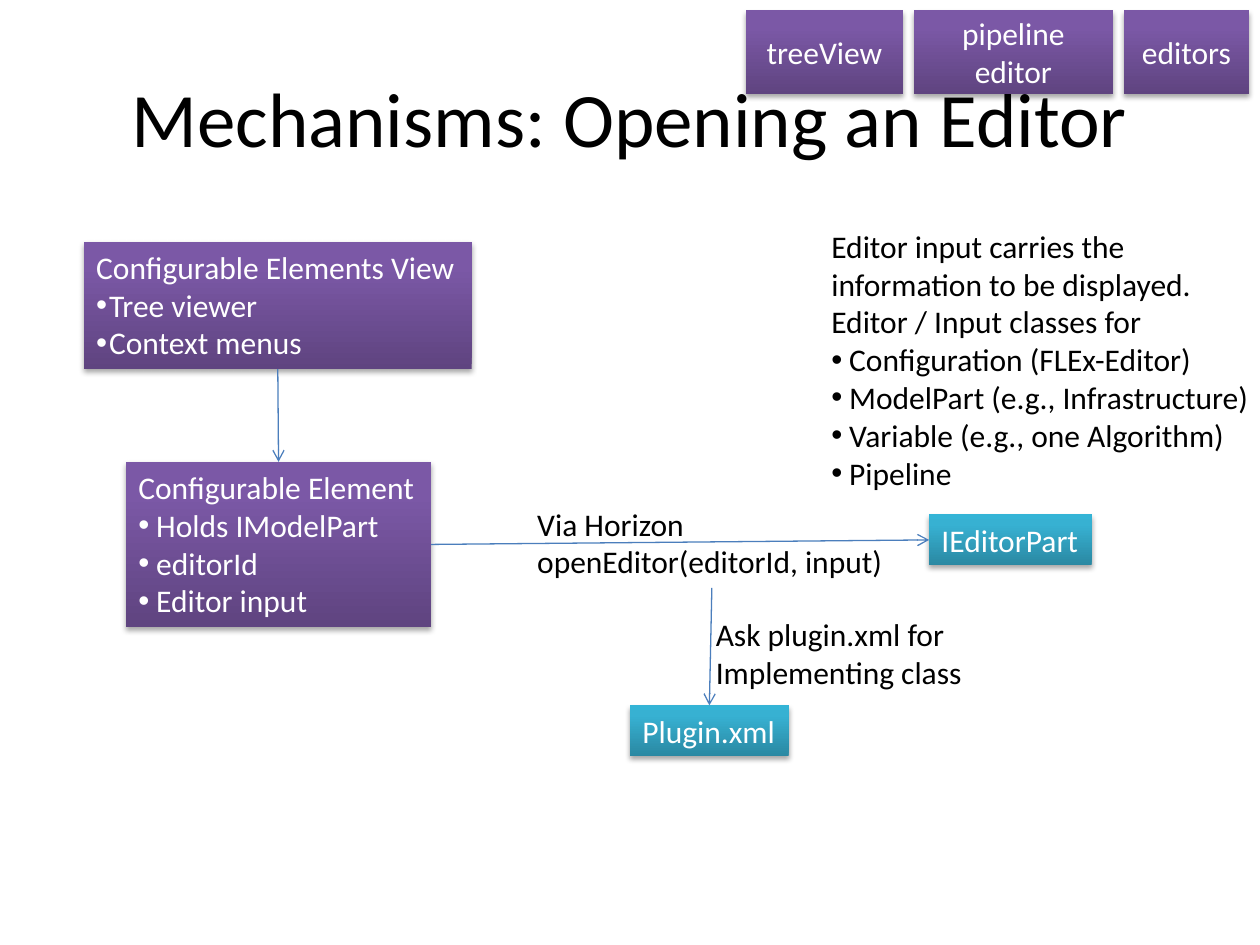
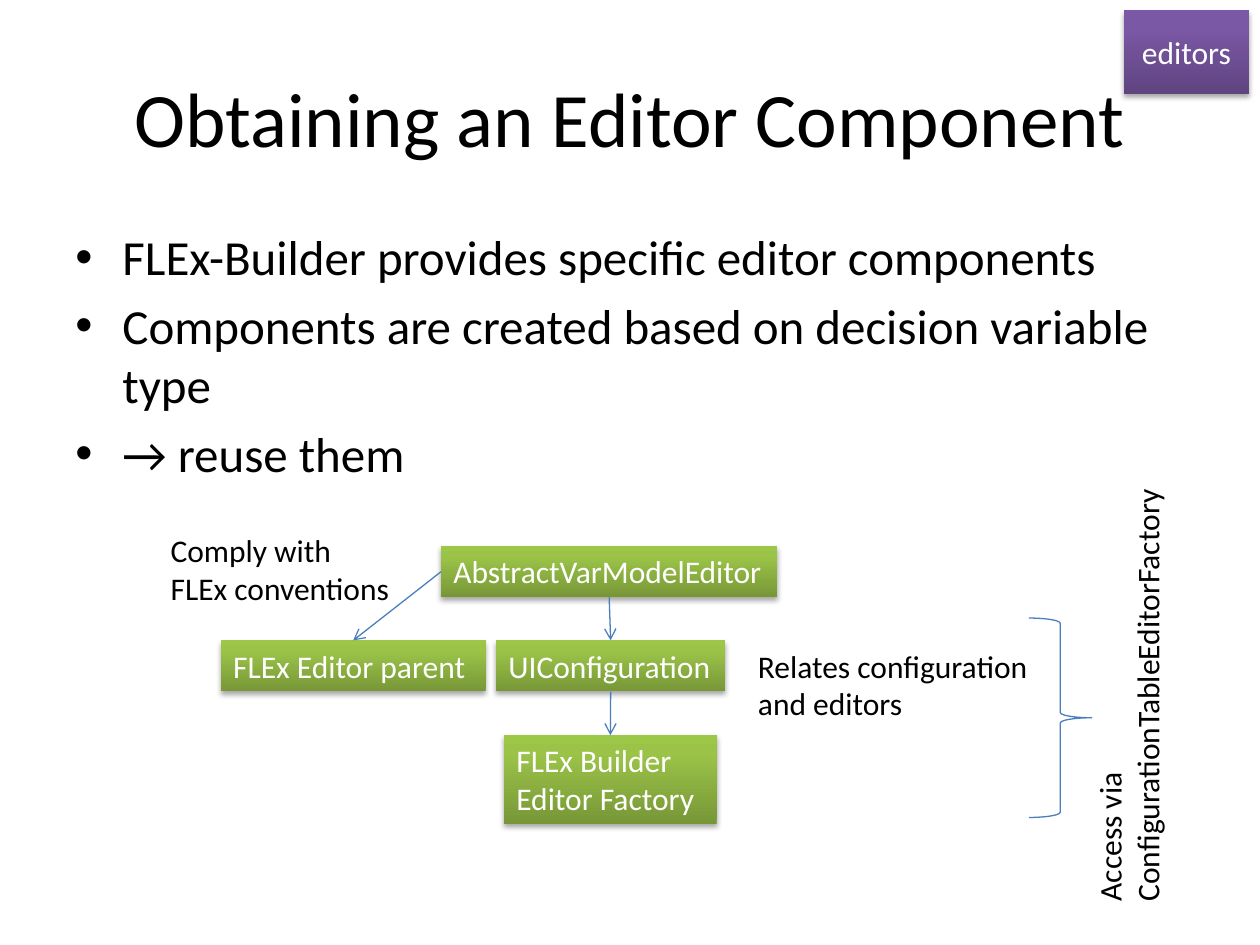
"""Builds two slides on opening editors and obtaining editor components."""
from lxml import etree
from pptx import Presentation
from pptx.dml.color import RGBColor
from pptx.enum.shapes import MSO_CONNECTOR, MSO_SHAPE
from pptx.enum.text import MSO_ANCHOR, MSO_AUTO_SIZE, PP_ALIGN
from pptx.oxml.ns import qn
from pptx.util import Cm, Pt

RECTANGLE, BRACE = MSO_SHAPE.RECTANGLE, MSO_SHAPE.RIGHT_BRACE
STRAIGHT = MSO_CONNECTOR.STRAIGHT
LEFT, CENTER = PP_ALIGN.LEFT, PP_ALIGN.CENTER
TOP, MIDDLE = MSO_ANCHOR.TOP, MSO_ANCHOR.MIDDLE
GROW = MSO_AUTO_SIZE.SHAPE_TO_FIT_TEXT
TOP_SIDE, LEFT_SIDE, BOTTOM_SIDE, RIGHT_SIDE = range(4)

FONT = "Calibri"
COLORS = {"text": "000000", "card_text": "FFFFFF", "line": "4B7EBC", "shadow": "000000"}
GRADIENTS = {
    "purple": ("5F4480", "7B58A6", "7C57A8"),
    "teal": ("2A88A2", "37B1D2", "34B4D6"),
    "green": ("779737", "9BC348", "9DC746"),
}
GRADIENT_POSITIONS = (0, 80, 100)
TAB_WIDTHS = {"treeView": 3.18, "pipeline editor": 4.02, "editors": 2.54}
TAB_RIGHT, TAB_TOP, TAB_HEIGHT, TAB_GAP = 25.19, 0.21, 1.69, 0.21
ONE_LINE, TWO_LINES = 1.03, 1.8


def add_element(parent, tag, **attributes):
    """Append a DrawingML element and return it."""
    values = {name: str(value) for name, value in attributes.items()}
    return etree.SubElement(parent, qn(tag), values)


def add_bullet(paragraph, indent):
    """Give the paragraph a round bullet with a hanging indent in cm."""
    properties = paragraph._p.get_or_add_pPr()
    properties.set("marL", str(Cm(indent)))
    properties.set("indent", str(-Cm(indent)))
    add_element(properties, "a:buFont", typeface="Arial")
    add_element(properties, "a:buChar", char="•")


def write_text(shape, lines, bullets=(), indent=0.36, size=18, color="text",
               align=LEFT, space_before=0):
    """Write plain lines followed by bulleted lines."""
    frame = shape.text_frame
    for index, line in enumerate([*lines, *bullets]):
        paragraph = frame.add_paragraph() if index else frame.paragraphs[0]
        paragraph.text = line
        paragraph.alignment = align
        paragraph.space_before = Pt(space_before)
        paragraph.font.name = FONT
        paragraph.font.size = Pt(size)
        paragraph.font.color.rgb = RGBColor.from_string(COLORS[color])
        if index >= len(lines):
            add_bullet(paragraph, indent)


def fit_to_text(shape, wrap=False):
    """Let the shape grow with its text."""
    shape.text_frame.word_wrap = wrap
    shape.text_frame.auto_size = GROW


def paint_card(card, tone):
    """Give the card its upward gradient and soft shadow."""
    card.line.fill.background()
    card.fill.gradient()
    card.fill.gradient_angle = 90
    properties = card._element.spPr
    stops = properties.find(qn("a:gradFill")).find(qn("a:gsLst"))
    stops.clear()
    for position, color in zip(GRADIENT_POSITIONS, GRADIENTS[tone]):
        stop = add_element(stops, "a:gs", pos=position * 1000)
        add_element(stop, "a:srgbClr", val=color)
    card.shadow.inherit = False
    shadow = add_element(properties.find(qn("a:effectLst")), "a:outerShdw",
                         blurRad=Pt(3.1), dist=Pt(1.8), dir=5400000, rotWithShape=0)
    add_element(add_element(shadow, "a:srgbClr", val=COLORS["shadow"]),
                "a:alpha", val=35000)


def add_block(slide, tone, left, top, width, height):
    """Add an empty gradient rectangle."""
    block = slide.shapes.add_shape(RECTANGLE, Cm(left), Cm(top), Cm(width), Cm(height))
    paint_card(block, tone)
    return block


def add_card(slide, tone, left, top, width, height, lines, wrap=False, **text):
    """Add a gradient rectangle that names a component."""
    card = add_block(slide, tone, left, top, width, height)
    card.text_frame.vertical_anchor = TOP
    fit_to_text(card, wrap)
    write_text(card, lines, color="card_text", **text)
    return card


def add_tabs(slide, *names):
    """Line up the topic tabs against the right edge."""
    right = TAB_RIGHT
    for name in reversed(names):
        width = TAB_WIDTHS[name]
        tab = add_block(slide, "purple", right - width, TAB_TOP, width, TAB_HEIGHT)
        tab.text_frame.vertical_anchor = MIDDLE
        tab.text_frame.word_wrap = True
        write_text(tab, [name], color="card_text", align=CENTER)
        right -= width + TAB_GAP


def add_text(slide, left, top, width, height):
    """Add an empty wrapping text box."""
    box = slide.shapes.add_textbox(Cm(left), Cm(top), Cm(width), Cm(height))
    box.text_frame.word_wrap = True
    return box


def add_title(slide, title):
    """Add the slide title."""
    heading = add_text(slide, 1.27, 0.76, 22.86, 3.18)
    heading.text_frame.vertical_anchor = MIDDLE
    write_text(heading, [title], size=44, align=CENTER)


def add_note(slide, left, top, width, height, lines, **text):
    """Add an explanatory note beside the diagram."""
    note = add_text(slide, left, top, width, height)
    fit_to_text(note)
    write_text(note, lines, **text)
    return note


def style_line(shape):
    """Apply the shared thin diagram line."""
    shape.line.color.rgb = RGBColor.from_string(COLORS["line"])
    shape.line.width = Pt(0.75)


def connect(slide, source, source_side, target, target_side):
    """Draw an arrow between the sides of two boxes."""
    arrow = slide.shapes.add_connector(STRAIGHT, 0, 0, 0, 0)
    arrow.begin_connect(source, source_side)
    arrow.end_connect(target, target_side)
    style_line(arrow)
    add_element(arrow.line._get_or_add_ln(), "a:tailEnd", type="arrow")
    add_element(arrow._element.spPr, "a:effectLst")


def add_brace(slide, left, top, width, height):
    """Add a right brace that groups the diagram."""
    brace = slide.shapes.add_shape(BRACE, Cm(left), Cm(top), Cm(width), Cm(height))
    brace.fill.background()
    style_line(brace)
    brace.shadow.inherit = False


def build_opening_slide(slide):
    """Show how an editor is opened."""
    add_title(slide, "Mechanisms: Opening an Editor")
    element = add_card(slide, "purple", 2.54, 9.31, 6.15, 3.33, ["Configurable Element"],
                       wrap=True, bullets=["Holds IModelPart", "editorId", "Editor input"])
    view = add_card(slide, "purple", 1.69, 4.87, 7.82, 2.57, ["Configurable Elements View"],
                    bullets=["Tree viewer", "Context menus"], indent=0.26)
    add_tabs(slide, "treeView", "pipeline editor", "editors")
    editor_part = add_card(slide, "teal", 18.73, 10.37, 3.28, ONE_LINE, ["IEditorPart"])
    open_call = add_note(slide, 10.58, 10.05, 7.54, TWO_LINES,
                         ["Via Horizon", "openEditor(editorId, input)"])
    plugin = add_card(slide, "teal", 12.7, 14.22, 3.2, ONE_LINE, ["Plugin.xml"])
    connect(slide, view, BOTTOM_SIDE, element, TOP_SIDE)
    connect(slide, element, RIGHT_SIDE, editor_part, LEFT_SIDE)
    connect(slide, open_call, BOTTOM_SIDE, plugin, TOP_SIDE)
    add_note(slide, 14.18, 12.28, 5.54, TWO_LINES,
             ["Ask plugin.xml for", "Implementing class"])
    add_note(slide, 16.51, 4.45, 9.02, 5.64,
             ["Editor input carries the", "information to be displayed.",
              "Editor / Input classes for"],
             bullets=["Configuration (FLEx-Editor)", "ModelPart (e.g., Infrastructure)",
                      "Variable (e.g., one Algorithm)", "Pipeline"])


def build_component_slide(slide):
    """Show how an editor component is obtained."""
    add_title(slide, "Obtaining an Editor Component")
    body = add_text(slide, 1.27, 4.45, 24.13, 12.57)
    write_text(body, [], size=28, indent=0.95, space_before=5.6,
               bullets=["FLEx-Builder provides specific editor components",
                        "Components are created based on decision variable type",
                        "→ reuse them"])
    add_tabs(slide, "editors")
    model_editor = add_card(slide, "green", 8.89, 11.01, 6.78, ONE_LINE,
                            ["AbstractVarModelEditor"])
    configuration = add_card(slide, "green", 10, 12.91, 4.62, ONE_LINE, ["UIConfiguration"])
    factory = add_card(slide, "green", 10.16, 14.82, 4.29, TWO_LINES,
                       ["FLEx Builder", "Editor Factory"])
    parent_editor = add_card(slide, "green", 4.45, 12.91, 5.34, ONE_LINE,
                             ["FLEx Editor parent"])
    connect(slide, model_editor, BOTTOM_SIDE, configuration, TOP_SIDE)
    connect(slide, configuration, BOTTOM_SIDE, factory, TOP_SIDE)
    connect(slide, model_editor, LEFT_SIDE, parent_editor, TOP_SIDE)
    add_note(slide, 3.19, 10.58, 5.05, TWO_LINES, ["Comply with", "FLEx conventions"])
    add_note(slide, 15.03, 12.91, 6.18, TWO_LINES, ["Relates configuration", "and editors"])
    access = add_note(slide, 18.29, 13.06, 8.92, TWO_LINES,
                      ["Access via", "ConfigurationTableEditorFactory"])
    access.rotation = 270
    add_brace(slide, 20.74, 12.46, 1.27, 4.02)


def main():
    """Build and save the presentation."""
    deck = Presentation()
    deck.slide_width, deck.slide_height = Cm(25.4), Cm(19.05)
    blank = deck.slide_layouts[6]
    for build in (build_opening_slide, build_component_slide):
        build(deck.slides.add_slide(blank))
    deck.save("out.pptx")


if __name__ == "__main__":
    main()
